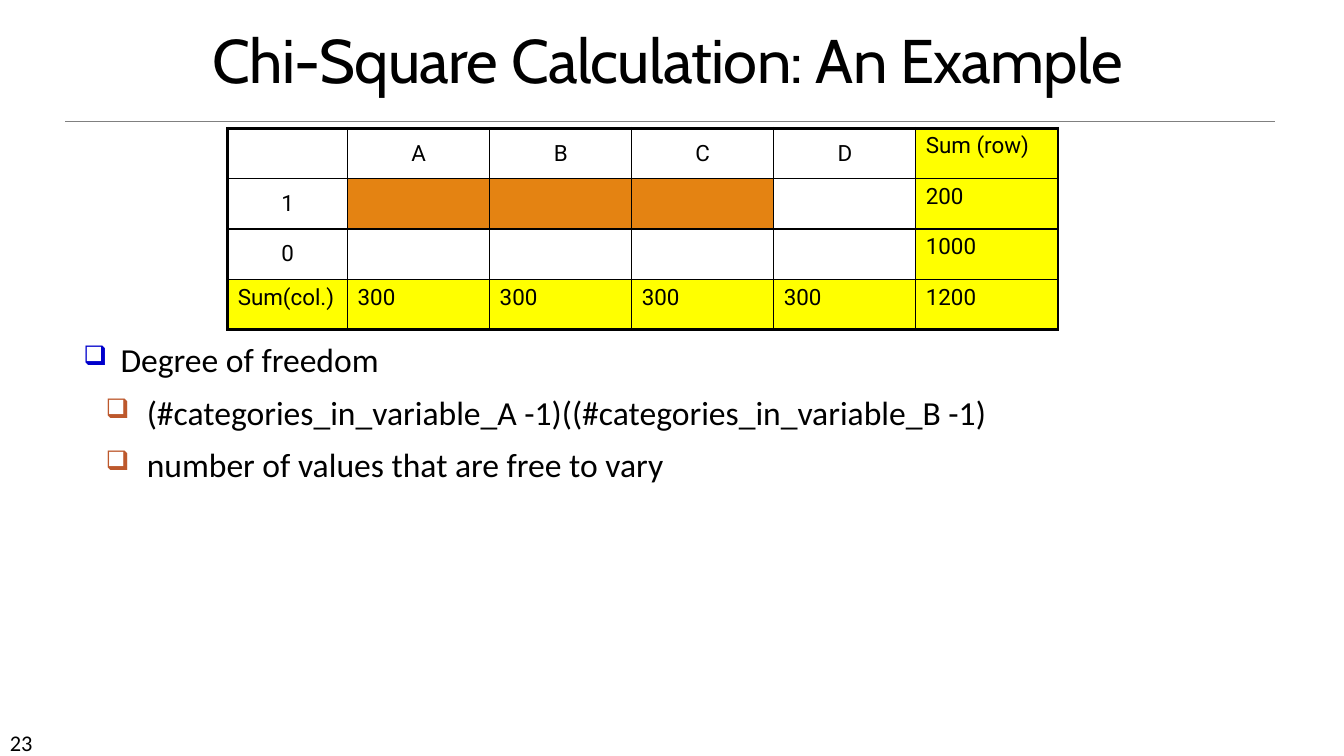
from dataclasses import dataclass

from lxml.etree import SubElement
from pptx import Presentation
from pptx.dml.color import RGBColor as Rgb
from pptx.enum.shapes import MSO_CONNECTOR as Link
from pptx.enum.text import MSO_ANCHOR as Anchor, PP_ALIGN as Align
from pptx.oxml import parse_xml
from pptx.oxml.ns import nsdecls, qn
from pptx.util import Cm, Pt


@dataclass(frozen=True)
class Theme:
    ink: str = "000000"
    rule: str = "808080"
    total: str = "FFFF00"
    mark: str = "E48312"
    bullets: tuple = ("0000CC", "BD582C")
    head: tuple = ("Cabin", 44)
    body: tuple = ("Calibri", 24)
    small: tuple = ("Calibri", 16)
    cell: tuple = ("Roboto", 16)


THEME = Theme()
GRID = [
    ["", "A", "B", "C", "D", "Sum (row)"],
    ["1", "", "", "", "", "200"],
    ["0", "", "", "", "", "1000"],
    ["Sum(col.)", "300", "300", "300", "300", "1200"],
]
FREE = {(1, 1), (1, 2), (1, 3)}
POINTS = [
    (0, "Degree of freedom"),
    (1, "(#categories_in_variable_A -1)((#categories_in_variable_B -1)"),
    (1, "number of values that are free to vary"),
]
INDENTS = [(0.94, -0.94), (1.6, -1.04)]


def style(para, face):
    font = para.font
    font.name, font.size = face[0], Pt(face[1])
    font.color.rgb = Rgb.from_string(THEME.ink)
    for run in para.runs:
        run.font.name, run.font.size = face[0], Pt(face[1])
        run.font.color.rgb = Rgb.from_string(THEME.ink)


def add_text(slide, box, text, face):
    frame = slide.shapes.add_textbox(*map(Cm, box)).text_frame
    frame.word_wrap = True
    frame.text = text
    for para in frame.paragraphs:
        style(para, face)
    return frame


def add_title(slide, text):
    frame = add_text(slide, (1.57, 0.84, 30.51, 1.7), text, THEME.head)
    frame.vertical_anchor = Anchor.BOTTOM
    para = frame.paragraphs[0]
    para.alignment, para.line_spacing = Align.CENTER, 0.85
    para.runs[0].font._element.set("spc", "-50")


def add_rule(slide):
    ends = map(Cm, (1.65, 3.05, 32.13, 3.05))
    rule = slide.shapes.add_connector(Link.STRAIGHT, *ends)
    rule.line.color.rgb = Rgb.from_string(THEME.rule)
    rule.line.width = Pt(0.5)
    SubElement(rule._element.spPr, qn("a:effectLst"))


def add_bullet(para, level):
    props = para._p.get_or_add_pPr()
    left, hang = INDENTS[level]
    props.set("marL", str(Cm(left)))
    props.set("indent", str(Cm(hang)))
    tint = SubElement(props, qn("a:buClr"))
    SubElement(tint, qn("a:srgbClr"), val=THEME.bullets[level])
    SubElement(props, qn("a:buSzPct"), val="80000")
    SubElement(props, qn("a:buChar"), char="❑")


def add_points(slide):
    text = "\n".join(line for _, line in POINTS)
    frame = add_text(slide, (1.85, 8.31, 25.91, 8.92), text, THEME.body)
    for n, (para, (level, _)) in enumerate(zip(frame.paragraphs, POINTS)):
        para.level = level
        para.line_spacing = 1.1
        para.space_before = Pt(6 if n else 0)
        para._p.get_or_add_pPr().remove_all("a:defRPr")
        add_bullet(para, level)
        style(para, THEME.body)


def set_edges(cell, outer):
    """Draw the four borders, heavy on the sides that lie on the table's rim."""
    props = cell._tc.get_or_add_tcPr()
    for n, side in enumerate("LRTB"):
        width = Pt(2.25 if outer[side] else 1)
        props.insert(n, parse_xml(
            f'<a:ln{side} {nsdecls("a")} w="{width}"><a:solidFill>'
            f'<a:srgbClr val="{THEME.ink}"/></a:solidFill></a:ln{side}>'))


def fill_cell(cell, text, row, col):
    last_row, last_col = len(GRID) - 1, len(GRID[0]) - 1
    total = row == last_row or col == last_col
    cell.text = text
    para = cell.text_frame.paragraphs[0]
    if not total:
        cell.vertical_anchor = Anchor.MIDDLE
        para.alignment = Align.CENTER
    style(para, THEME.cell)
    tint = THEME.total if total else THEME.mark if (row, col) in FREE else None
    if tint:
        cell.fill.solid()
        cell.fill.fore_color.rgb = Rgb.from_string(tint)
    else:
        cell.fill.background()
    set_edges(cell, {"L": col == 0, "R": col == last_col,
                     "T": row == 0, "B": row == last_row})


def add_grid(slide):
    rows, cols = len(GRID), len(GRID[0])
    box = map(Cm, (5.74, 3.23, 20.92, 5.08))
    table = slide.shapes.add_table(rows, cols, *box).table
    table.first_row = table.horz_banding = False
    for n, col in enumerate(table.columns):
        col.width = Cm(3.58 if n else 3.02)
    for r, line in enumerate(GRID):
        table.rows[r].height = Cm(1.27)
        for c, text in enumerate(line):
            fill_cell(table.cell(r, c), text, r, c)


def main():
    deck = Presentation()
    deck.slide_width, deck.slide_height = Cm(33.87), Cm(19.05)
    slide = deck.slides.add_slide(deck.slide_layouts[6])
    add_rule(slide)
    add_text(slide, (0, 18.24, 2.97, 0.76), "23", THEME.small)
    add_title(slide, "Chi-Square Calculation: An Example")
    add_points(slide)
    add_grid(slide)
    deck.save("out.pptx")


if __name__ == "__main__":
    main()
